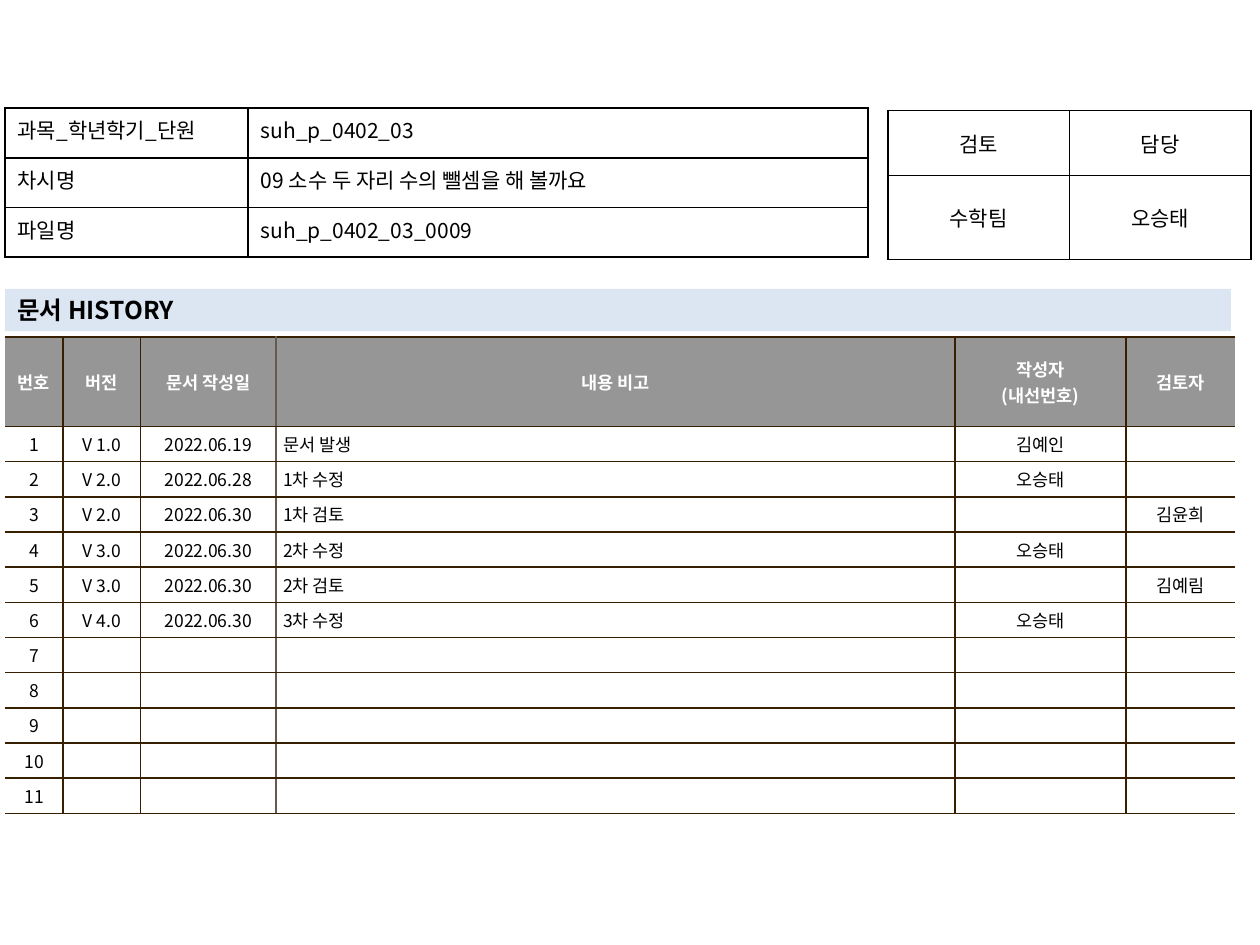
from dataclasses import dataclass
from typing import Optional

from lxml.etree import SubElement
from pptx import Presentation
from pptx.dml.color import RGBColor
from pptx.enum.shapes import MSO_SHAPE
from pptx.enum.text import MSO_ANCHOR, PP_ALIGN
from pptx.oxml.ns import qn
from pptx.util import Pt

FONT = "Noto Sans CJK KR"
COLORS = {
    "black": "000000",
    "white": "FFFFFF",
    "header": "969696",
    "band": "DCE6F2",
    "brown": "362000",
    "taupe": "645B4C",
}
CENTER, LEFT, JUSTIFY = PP_ALIGN.CENTER, PP_ALIGN.LEFT, PP_ALIGN.JUSTIFY


@dataclass
class TableSpec:
    left: float
    top: float
    columns: list[float]
    rows: list[float]
    texts: list[list[str]]
    alignments: list[PP_ALIGN]
    size: float
    margins: tuple[float, float]
    anchor: MSO_ANCHOR
    line: str


@dataclass
class CellStyle:
    color: str = "black"
    bold: bool = False
    fill: Optional[str] = None
    hanging: float = 0


def rgb(name: str) -> RGBColor:
    return RGBColor.from_string(COLORS[name])


def write_text(paragraph, text: str, size: float, color: str, bold: bool) -> None:
    if not text:
        # An empty cell keeps the small size, so that its row does not grow
        paragraph._p.get_or_add_endParaRPr().set("sz", str(int(size * 100)))
        return
    run = paragraph.add_run()
    run.text = text
    for name, value in {"size": Pt(size), "bold": bold, "name": FONT}.items():
        setattr(run.font, name, value)
    run.font.color.rgb = rgb(color)
    SubElement(run._r.get_or_add_rPr(), qn("a:ea")).set("typeface", FONT)


def set_borders(cell, borders: dict[str, Optional[str]]) -> None:
    properties = cell._tc.get_or_add_tcPr()
    for side in ("L", "R", "T", "B"):
        line = SubElement(properties, qn(f"a:ln{side}"), w=str(int(Pt(1))))
        color = borders[side]
        if color is None:
            SubElement(line, qn("a:noFill"))
        else:
            fill = SubElement(line, qn("a:solidFill"))
            SubElement(fill, qn("a:srgbClr"), val=COLORS[color])


def format_cell(cell, text: str, alignment: PP_ALIGN, spec: TableSpec,
                style: CellStyle, borders: dict[str, Optional[str]]) -> None:
    horizontal, vertical = spec.margins
    layout = {
        "margin_left": Pt(horizontal), "margin_right": Pt(horizontal),
        "margin_top": Pt(vertical), "margin_bottom": Pt(vertical),
        "vertical_anchor": spec.anchor,
    }
    for name, value in layout.items():
        setattr(cell, name, value)
    set_borders(cell, borders)
    if style.fill:
        cell.fill.solid()
        cell.fill.fore_color.rgb = rgb(style.fill)
    else:
        cell.fill.background()
    frame = cell.text_frame
    for index, line in enumerate(text.split("\n")):
        paragraph = frame.add_paragraph() if index else frame.paragraphs[0]
        paragraph.alignment = alignment
        if style.hanging and text:
            properties = paragraph._p.get_or_add_pPr()
            properties.set("marL", str(int(Pt(style.hanging))))
            properties.set("indent", str(-int(Pt(style.hanging))))
        write_text(paragraph, line, spec.size, style.color, style.bold)


def add_grid(slide, spec: TableSpec, is_history: bool = False) -> None:
    table = slide.shapes.add_table(
        len(spec.rows), len(spec.columns), Pt(spec.left), Pt(spec.top),
        Pt(sum(spec.columns)), Pt(sum(spec.rows))).table
    table.first_row = table.horz_banding = False
    for column, width in zip(table.columns, spec.columns):
        column.width = Pt(width)
    for row, height in zip(table.rows, spec.rows):
        row.height = Pt(height)
    last = len(spec.columns) - 1
    for r, row_texts in enumerate(spec.texts):
        for c, text in enumerate(row_texts):
            style, alignment = CellStyle(), spec.alignments[c]
            borders = dict.fromkeys("LRTB", spec.line)
            if is_history:
                # Open outer sides, and a lighter line before the notes
                borders["L"] = {0: None, 3: "taupe"}.get(c, spec.line)
                borders["R"] = {2: "taupe", last: None}.get(c, spec.line)
                if r == 0:
                    style, alignment = CellStyle("white", True, "header"), CENTER
                else:
                    hanging = {3: 13.5, last: 6.75}.get(c, 0)
                    style = CellStyle(fill="white", hanging=hanging)
            format_cell(table.cell(r, c), text, alignment, spec, style, borders)


def add_heading(slide, text: str) -> None:
    shape = slide.shapes.add_shape(
        MSO_SHAPE.RECTANGLE, Pt(2.9), Pt(165), Pt(700.5), Pt(24.3))
    shape.shadow.inherit = False
    shape.fill.solid()
    shape.fill.fore_color.rgb = rgb("band")
    shape.line.fill.background()
    frame = shape.text_frame
    frame.word_wrap = True
    frame.vertical_anchor = MSO_ANCHOR.MIDDLE
    paragraph = frame.paragraphs[0]
    paragraph.alignment = LEFT
    write_text(paragraph, text, 14, "black", True)


HISTORY_HEADER = ["번호", "버전", "문서 작성일", "내용 비고", "작성자\n(내선번호)", "검토자"]
HISTORY_ENTRIES = [
    ["V 1.0", "2022.06.19", "문서 발생", "김예인", ""],
    ["V 2.0", "2022.06.28", "1차 수정", "오승태", ""],
    ["V 2.0", "2022.06.30", "1차 검토", "", "김윤희"],
    ["V 3.0", "2022.06.30", "2차 수정", "오승태", ""],
    ["V 3.0", "2022.06.30", "2차 검토", "", "김예림"],
    ["V 4.0", "2022.06.30", "3차 수정", "오승태", ""],
]
ROW_COUNT = 11


def main() -> None:
    presentation = Presentation()
    presentation.slide_width, presentation.slide_height = Pt(720), Pt(540)
    slide = presentation.slides.add_slide(presentation.slide_layouts[6])

    # Document history
    blank_entries = [[""] * 5] * (ROW_COUNT - len(HISTORY_ENTRIES))
    entries = [[str(number), *entry] for number, entry
               in enumerate(HISTORY_ENTRIES + blank_entries, start=1)]
    add_grid(slide, TableSpec(
        2.9, 192.7, [33.1, 44.2, 77.6, 388, 97.7, 62.4],
        [51] + [20.1] * ROW_COUNT, [HISTORY_HEADER] + entries,
        [CENTER, CENTER, CENTER, LEFT, CENTER, CENTER],
        10, (4.1, 2.8), MSO_ANCHOR.MIDDLE, "brown"), is_history=True)

    # Review and responsibility
    add_grid(slide, TableSpec(
        507.4, 63.2, [103.7, 103.7], [37.2, 47.8],
        [["검토", "담당"], ["수학팀", "오승태"]], [CENTER, CENTER],
        12, (7.2, 3.6), MSO_ANCHOR.MIDDLE, "black"))

    # History heading
    add_heading(slide, "문서 HISTORY")

    # Lesson details
    add_grid(slide, TableSpec(
        2.9, 61.8, [138.9, 354.3], [28.4] * 3,
        [["과목_학년학기_단원", "suh_p_0402_03"],
         ["차시명", "09 소수 두 자리 수의 뺄셈을 해 볼까요"],
         ["파일명", "suh_p_0402_03_0009"]], [JUSTIFY, LEFT],
        12, (7.2, 3.6), MSO_ANCHOR.TOP, "black"))

    presentation.save("out.pptx")


if __name__ == "__main__":
    main()
